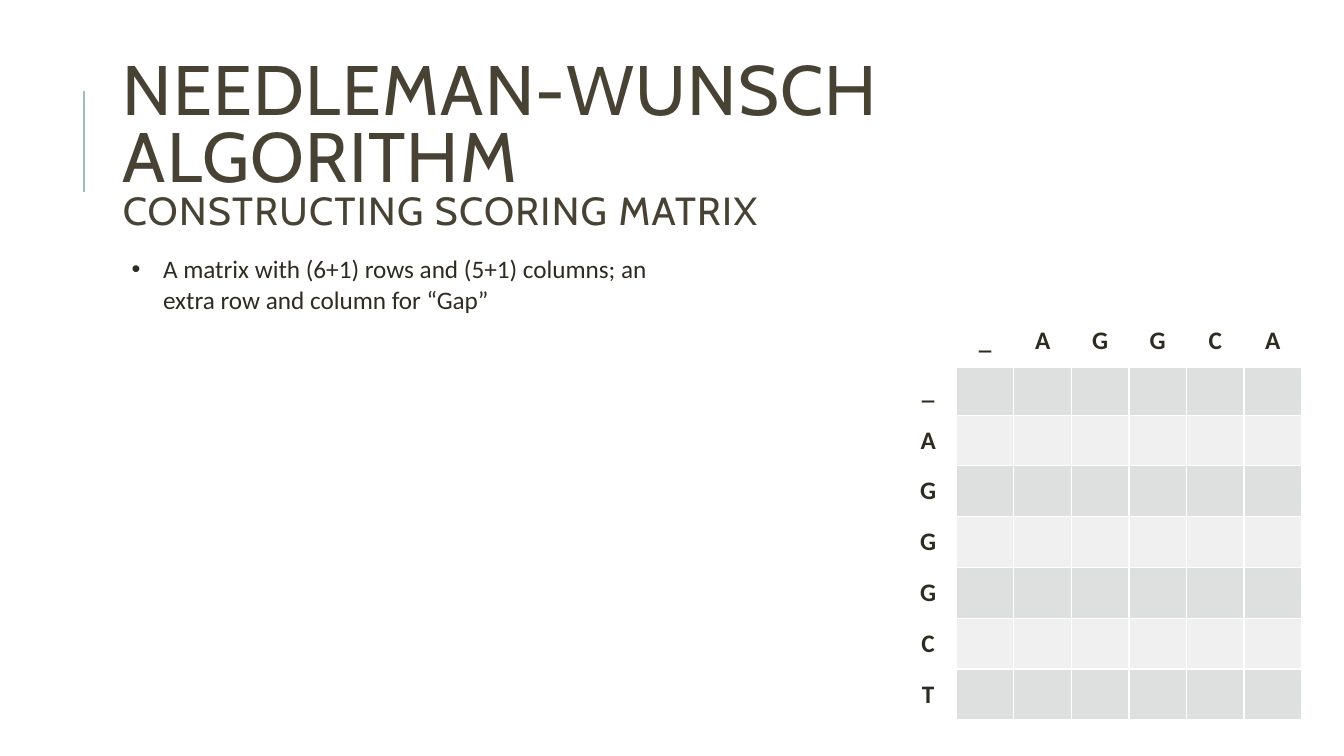
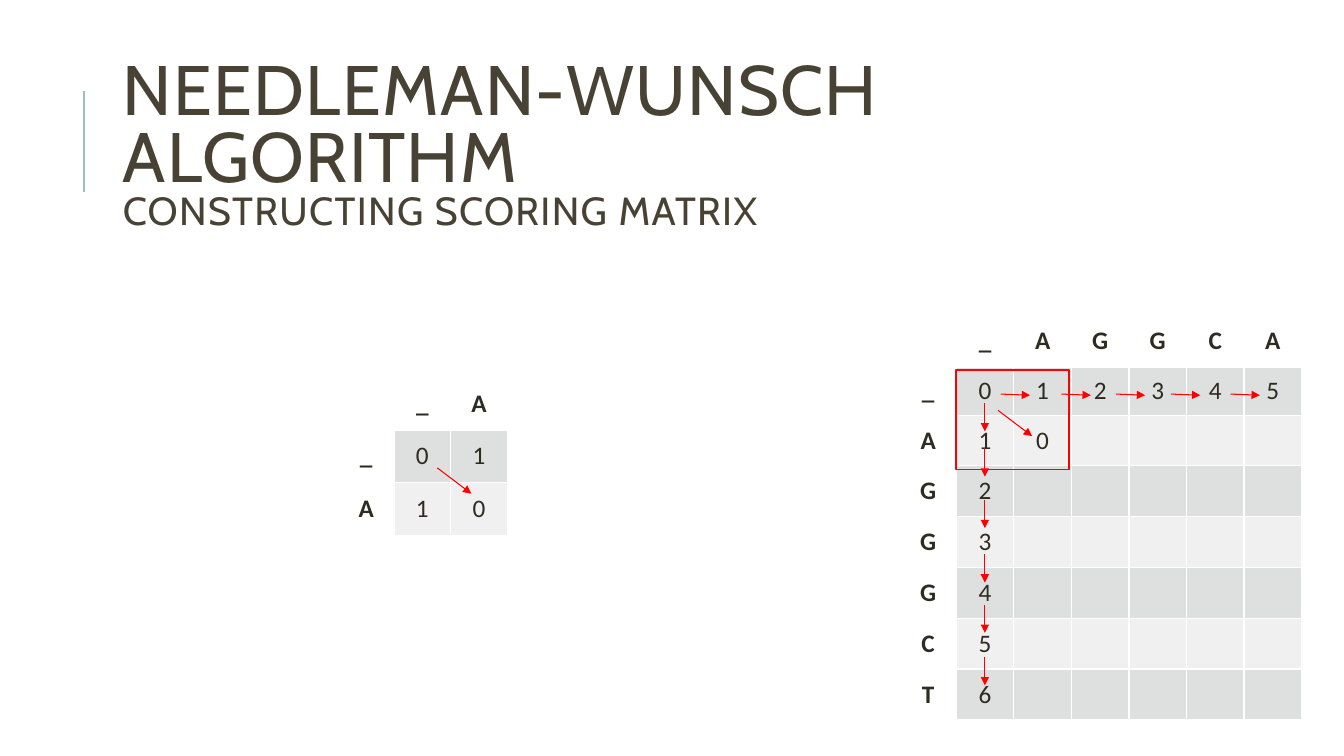
from dataclasses import dataclass

from lxml.etree import SubElement
from pptx import Presentation
from pptx.dml.color import RGBColor
from pptx.enum.shapes import MSO_CONNECTOR, MSO_SHAPE
from pptx.enum.text import MSO_ANCHOR, MSO_AUTO_SIZE, PP_ALIGN
from pptx.oxml import parse_xml
from pptx.oxml.ns import nsdecls, qn
from pptx.util import Cm, Pt


@dataclass(frozen=True)
class Theme:
    heading: RGBColor = RGBColor.from_string("474233")
    body: RGBColor = RGBColor.from_string("2E2B21")
    accent: RGBColor = RGBColor.from_string("9CBEBD")
    highlight: RGBColor = RGBColor.from_string("FF0000")
    paper: RGBColor = RGBColor.from_string("FFFFFF")
    bands: tuple = (RGBColor.from_string("DDE0DF"), RGBColor.from_string("EFF0EF"))
    heading_font: str = "Cabin"
    body_font: str = "Calibri"
    title_size: Pt = Pt(50)
    subtitle_size: Pt = Pt(28)
    body_size: Pt = Pt(18)


def apply(target, formats):
    for name, value in formats.items():
        setattr(target, name, value)


def edge_scores(rows, columns):
    """Gap costs along both edges, and the first match on the diagonal."""
    top = {(0, column): column for column in range(len(columns))}
    side = {(row, 0): row for row in range(len(rows))}
    return top | side | {(1, 1): 0}


class Deck:
    def __init__(self, theme):
        self.theme = theme
        self.presentation = Presentation()
        apply(self.presentation, {"slide_width": Cm(33.87), "slide_height": Cm(19.05)})
        self.slide = None

    def start_slide(self, heading, subheading):
        theme = self.theme
        layout = self.presentation.slide_layouts[5]
        self.slide = self.presentation.slides.add_slide(layout)
        self.line((2.11, 4.83), (2.11, 2.29), theme.accent, 1.5)

        title = self.slide.shapes.title
        apply(title, {"left": Cm(2.84), "top": Cm(1.63),
                      "width": Cm(27), "height": Cm(4.17)})
        apply(title.text_frame, {"auto_size": MSO_AUTO_SIZE.NONE, "word_wrap": True,
                                 "vertical_anchor": MSO_ANCHOR.MIDDLE})
        paragraph = title.text_frame.paragraphs[0]
        apply(paragraph, {"alignment": PP_ALIGN.LEFT, "line_spacing": 0.8})
        self.title_run(paragraph, heading, theme.title_size)
        paragraph.add_line_break()
        self.title_run(paragraph, subheading, theme.subtitle_size)

    def title_run(self, paragraph, text, size):
        run = paragraph.add_run()
        run.text = text
        self.style(run.font, self.theme.heading,
                   {"name": self.theme.heading_font, "size": size})
        run.font.element.get_or_add_rPr().set("spc", "100") if hasattr(
            run.font, "element") else run._r.get_or_add_rPr().set("spc", "100")

    def style(self, font, color, formats):
        apply(font, formats)
        font.color.rgb = color

    def body_style(self, font, bold=False):
        self.style(font, self.theme.body, {"name": self.theme.body_font,
                                           "size": self.theme.body_size, "bold": bold})

    def bullet(self, text, left, top, width, height):
        box = self.slide.shapes.add_textbox(Cm(left), Cm(top), Cm(width), Cm(height))
        box.text_frame.word_wrap = True
        paragraph = box.text_frame.paragraphs[0]
        run = paragraph.add_run()
        run.text = text
        self.body_style(run.font)
        properties = paragraph._p.get_or_add_pPr()
        properties.set("marL", str(Cm(0.79)))
        properties.set("indent", str(-Cm(0.79)))
        SubElement(properties, qn("a:buFont")).set("typeface", "Arial")
        SubElement(properties, qn("a:buChar")).set("char", "•")

    def line(self, start, end, color, width, arrow=False):
        points = [Cm(value) for value in (*start, *end)]
        connector = self.slide.shapes.add_connector(MSO_CONNECTOR.STRAIGHT, *points)
        connector.line.color.rgb = color
        connector.line.width = Pt(width)
        properties = connector.element.spPr
        if arrow:
            SubElement(properties.find(qn("a:ln")), qn("a:tailEnd")).set("type", "triangle")
        SubElement(properties, qn("a:effectLst"))

    def arrow(self, x, y, dx, dy):
        self.line((x, y), (x + dx, y + dy), self.theme.highlight, 0.75, arrow=True)

    def frame(self, left, top, width, height):
        outline = self.slide.shapes.add_shape(
            MSO_SHAPE.RECTANGLE, Cm(left), Cm(top), Cm(width), Cm(height))
        outline.shadow.inherit = False
        outline.fill.background()
        outline.line.color.rgb = self.theme.highlight
        outline.line.width = Pt(1.25)

    def matrix(self, left, top, rows, columns, widths, heights, scores):
        """Lettered matrix; scores maps (row, column) to a value."""
        grid = self.slide.shapes.add_table(
            len(heights), len(widths), Cm(left), Cm(top),
            Cm(sum(widths)), Cm(sum(heights))).table
        apply(grid, {"first_row": False, "horz_banding": False})
        for column, width in zip(grid.columns, widths):
            column.width = Cm(width)
        for row, height in zip(grid.rows, heights):
            row.height = Cm(height)

        labels = {(0, c): letter for c, letter in enumerate(columns, 1)}
        labels |= {(r, 0): letter for r, letter in enumerate(rows, 1)}
        values = {(r + 1, c + 1): str(score) for (r, c), score in scores.items()}
        for r in range(len(heights)):
            for c in range(len(widths)):
                is_label = r == 0 or c == 0
                fill = self.theme.paper if is_label else self.theme.bands[(r - 1) % 2]
                text = (labels | values).get((r, c), "")
                self.matrix_cell(grid.cell(r, c), text, fill, is_label)
                self.borders(grid.cell(r, c), top=3 if r == 1 and c else 1,
                             bottom=3 if r == 0 and c else 1)

    def matrix_cell(self, cell, text, fill, bold):
        cell.text = text
        cell.vertical_anchor = MSO_ANCHOR.MIDDLE
        cell.fill.solid()
        cell.fill.fore_color.rgb = fill
        paragraph = cell.text_frame.paragraphs[0]
        paragraph.alignment = PP_ALIGN.CENTER
        self.body_style(paragraph.font, bold)
        for run in paragraph.runs:
            self.body_style(run.font, bold)

    def borders(self, cell, top, bottom):
        properties = cell._tc.get_or_add_tcPr()
        sides = {"lnL": 1, "lnR": 1, "lnT": top, "lnB": bottom}
        for position, (side, width) in enumerate(sides.items()):
            properties.insert(position, parse_xml(
                f'<a:{side} {nsdecls("a")} w="{Pt(width)}"><a:solidFill>'
                f'<a:srgbClr val="{self.theme.paper}"/></a:solidFill></a:{side}>'))


HEADING = ("NEEDLEMAN-WUNSCH ALGORITHM", "CONSTRUCTING SCORING MATRIX")
FULL_MATRIX = {"left": 22.68, "top": 7.98, "rows": "_AGGGCT", "columns": "_AGGCA",
               "widths": [1.42] + [1.45] * 6, "heights": [1.24] * 2 + [1.28] * 6}
FIRST_STEP = {"left": 8.53, "top": 9.52, "rows": "_A", "columns": "_A",
              "widths": [1.4, 1.43, 1.43], "heights": [1.3, 1.34, 1.34]}


def main():
    deck = Deck(Theme())

    # Empty matrix
    deck.start_slide(*HEADING)
    deck.matrix(**FULL_MATRIX, scores={})
    deck.bullet("A matrix with (6+1) rows and (5+1) columns; an extra row "
                "and column for “Gap”", 3.07, 6.27, 14.43, 1.8)

    # First diagonal step beside the full matrix
    deck.start_slide(*HEADING)
    for matrix in (FIRST_STEP, FULL_MATRIX):
        deck.matrix(**matrix, scores=edge_scores(matrix["rows"], matrix["columns"]))
    for x, y in ((11.02, 11.79), (25.15, 10.34)):
        deck.arrow(x, y, 0.86, 0.65)
    deck.frame(24.1, 9.32, 2.84, 2.51)

    # Gap costs along the first row and column
    for x in (25.22, 26.75, 28.12, 29.51, 31.01):
        deck.arrow(x, 9.93, 0.74, 0.03)
    for y in (10.16, 11.3, 12.6, 13.97, 15.24, 16.56):
        deck.arrow(24.82, y, 0, 0.71)

    deck.presentation.save("out.pptx")


if __name__ == "__main__":
    main()
